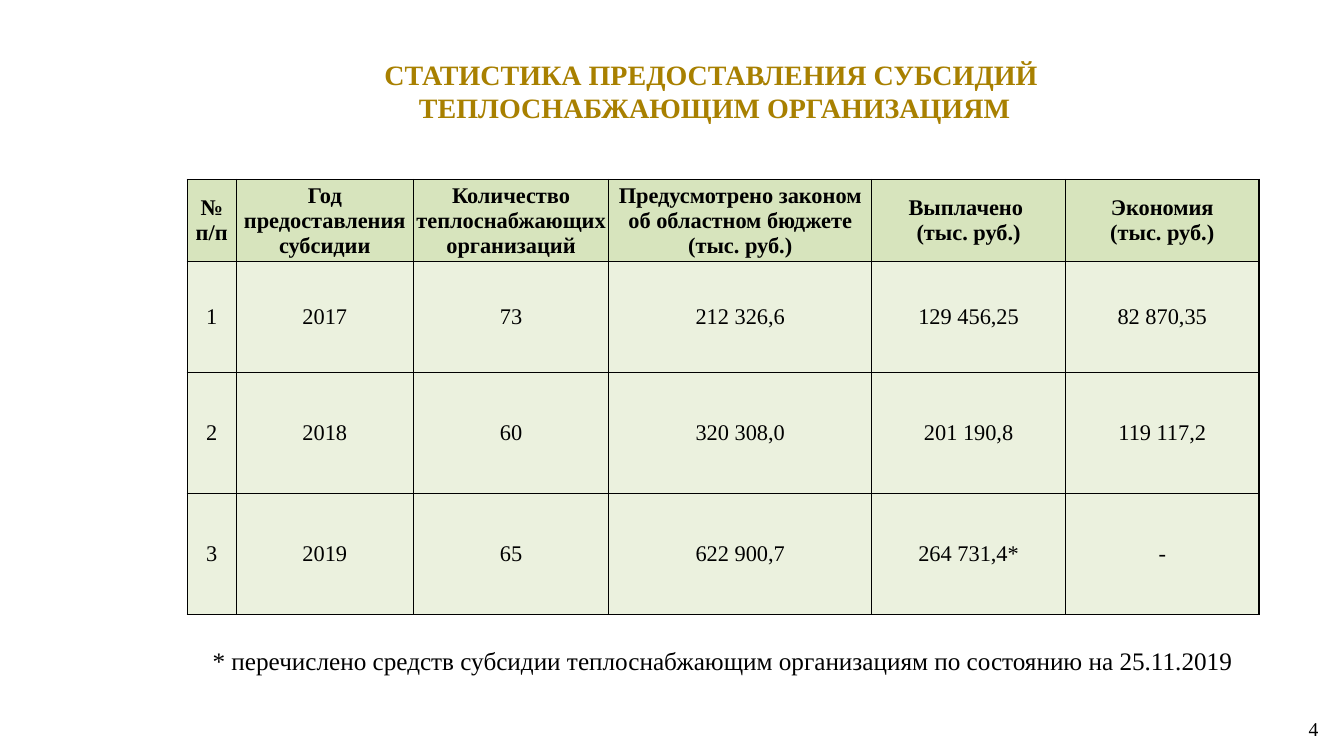
from dataclasses import dataclass

from lxml import etree
from pptx import Presentation
from pptx.dml.color import RGBColor
from pptx.enum.shapes import MSO_SHAPE
from pptx.enum.text import MSO_ANCHOR, MSO_AUTO_SIZE, PP_ALIGN
from pptx.oxml.ns import qn
from pptx.util import Cm, Pt

CENTER = PP_ALIGN.CENTER
RIGHT = PP_ALIGN.RIGHT
MIDDLE = MSO_ANCHOR.MIDDLE
TOP = MSO_ANCHOR.TOP
NO_AUTO_SIZE = MSO_AUTO_SIZE.NONE
RECTANGLE = MSO_SHAPE.RECTANGLE

COLORS = {
    "title": "A88000",
    "text": "000000",
    "border": "000000",
    "page": "FFFFFF",
    "header": "D7E4BD",
    "body": "EBF1DE",
}
FONT_NAME = "Times New Roman"
BORDER_TAGS = ("a:lnL", "a:lnR", "a:lnT", "a:lnB")
COLUMN_WIDTHS = (1.23, 4.47, 4.92, 6.63, 4.88, 4.88)
ROW_HEIGHTS = (2.07, 2.79, 3.05, 3.05)
ROWS = (
    (
        "№ п/п",
        "Год предоставления субсидии",
        "Количество теплоснабжающих организаций",
        "Предусмотрено законом об областном бюджете\n(тыс. руб.)",
        "Выплачено \n(тыс. руб.)",
        "Экономия\n(тыс. руб.)",
    ),
    ("1", "2017", "73", "212 326,6", "129 456,25", "82 870,35"),
    ("2", "2018", "60", "320 308,0", "201 190,8", "119 117,2"),
    ("3", "2019", "65", "622 900,7", "264 731,4*", "-"),
)


@dataclass(frozen=True)
class TextStyle:
    size: int
    color: str = "text"
    bold: bool = False
    alignment: PP_ALIGN = CENTER


@dataclass(frozen=True)
class Label:
    text: str
    left: float
    top: float
    width: float
    height: float
    style: TextStyle
    wrap: bool = True
    fill: str = ""


LABELS = (
    Label(
        "СТАТИСТИКА ПРЕДОСТАВЛЕНИЯ СУБСИДИЙ \nТЕПЛОСНАБЖАЮЩИМ ОРГАНИЗАЦИЯМ",
        4.14, 1.32, 27.74, 1.96, TextStyle(20, "title", True),
    ),
    Label("4", 32.54, 17.93, 0.94, 0.86, TextStyle(14, alignment=RIGHT), fill="page"),
    Label(
        "* перечислено средств субсидии теплоснабжающим организациям по состоянию на 25.11.2019",
        4.98, 16.13, 26.47, 1.02, TextStyle(18), wrap=False,
    ),
)
HEADER_STYLE = TextStyle(16, bold=True)
BODY_STYLE = TextStyle(16)


def set_attributes(target, values: dict) -> None:
    for name, value in values.items():
        setattr(target, name, value)


def write_text(text_frame, text: str, style: TextStyle) -> None:
    text_frame.text = text
    for paragraph in text_frame.paragraphs:
        paragraph.alignment = style.alignment
        for run in paragraph.runs:
            set_attributes(run.font, {
                "name": FONT_NAME,
                "size": Pt(style.size),
                "bold": style.bold,
            })
            run.font.color.rgb = RGBColor.from_string(COLORS[style.color])


def add_label(slide, label: Label) -> None:
    box = [Cm(value) for value in (label.left, label.top, label.width, label.height)]
    if label.fill:
        shape = slide.shapes.add_shape(RECTANGLE, *box)
        shape.shadow.inherit = False
        shape.fill.solid()
        shape.fill.fore_color.rgb = RGBColor.from_string(COLORS[label.fill])
        shape.line.fill.background()
    else:
        shape = slide.shapes.add_textbox(*box)
    set_attributes(shape.text_frame, {
        "word_wrap": label.wrap,
        "auto_size": NO_AUTO_SIZE,
        "vertical_anchor": TOP,
    })
    write_text(shape.text_frame, label.text, label.style)


def add_borders(cell) -> None:
    properties = cell._tc.get_or_add_tcPr()
    for tag in BORDER_TAGS:
        line = etree.SubElement(properties, qn(tag), w=str(Pt(1)))
        fill = etree.SubElement(line, qn("a:solidFill"))
        etree.SubElement(fill, qn("a:srgbClr"), val=COLORS["border"])


def format_cell(cell, text: str, style: TextStyle, fill: str) -> None:
    set_attributes(cell, {
        "vertical_anchor": MIDDLE,
        "margin_left": Cm(0.02),
        "margin_right": Cm(0.02),
        "margin_top": Cm(0.02),
        "margin_bottom": Cm(0),
    })
    add_borders(cell)
    cell.fill.solid()
    cell.fill.fore_color.rgb = RGBColor.from_string(COLORS[fill])
    write_text(cell.text_frame, text, style)


def add_subsidy_table(slide) -> None:
    table = slide.shapes.add_table(
        len(ROWS), len(COLUMN_WIDTHS), Cm(4.72), Cm(4.52),
        Cm(sum(COLUMN_WIDTHS)), Cm(sum(ROW_HEIGHTS)),
    ).table
    set_attributes(table, {"first_row": False, "horz_banding": False})
    for column, width in zip(table.columns, COLUMN_WIDTHS):
        column.width = Cm(width)
    for index, (row, height, texts) in enumerate(zip(table.rows, ROW_HEIGHTS, ROWS)):
        row.height = Cm(height)
        style, fill = (BODY_STYLE, "body") if index else (HEADER_STYLE, "header")
        for cell, text in zip(row.cells, texts):
            format_cell(cell, text, style, fill)


def main() -> None:
    presentation = Presentation()
    set_attributes(presentation, {"slide_width": Cm(33.87), "slide_height": Cm(19.05)})
    slide = presentation.slides.add_slide(presentation.slide_layouts[6])
    add_subsidy_table(slide)
    for label in LABELS:
        add_label(slide, label)
    presentation.save("out.pptx")


if __name__ == "__main__":
    main()
